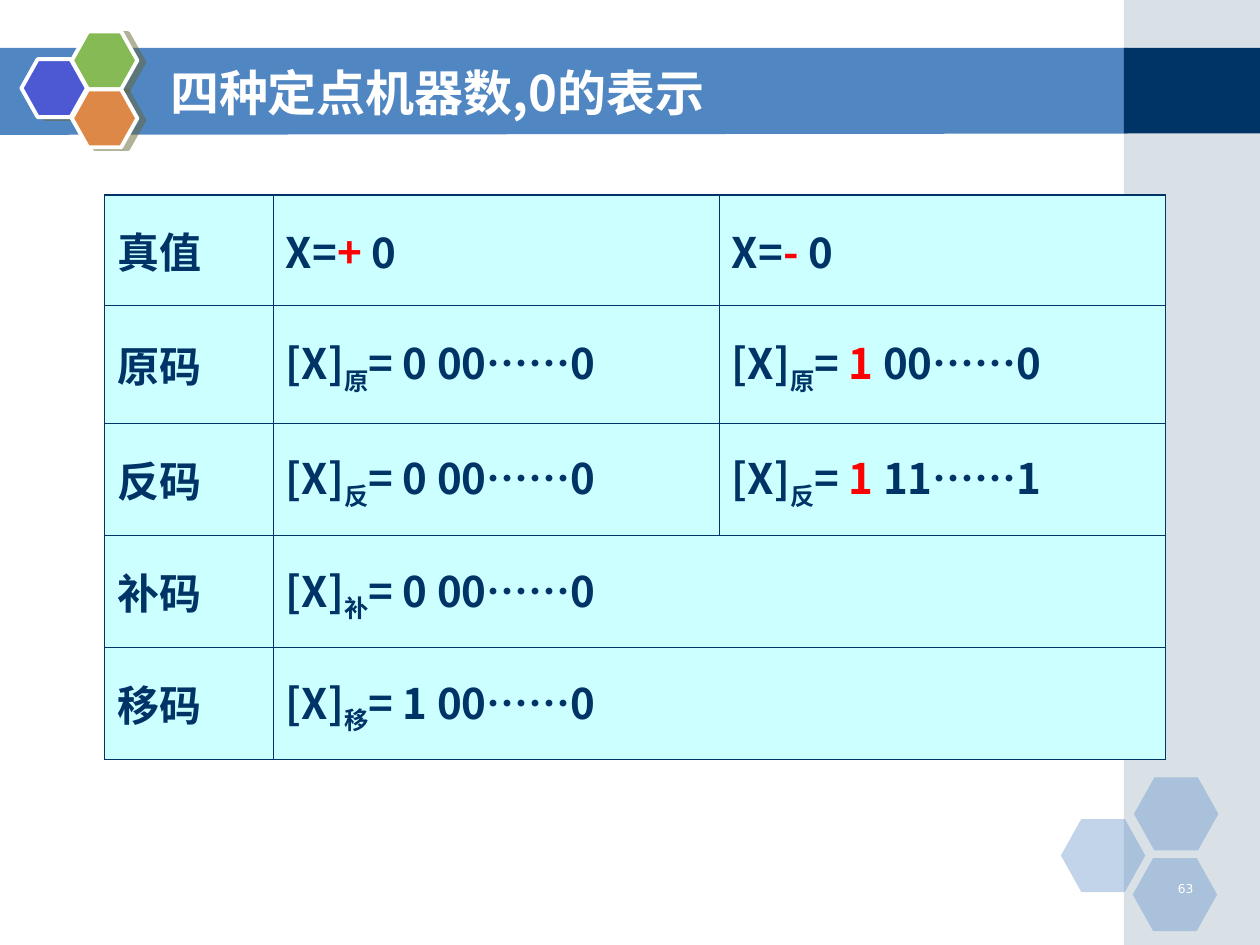
from dataclasses import dataclass

from lxml import etree
from pptx import Presentation
from pptx import util as u
from pptx.dml.color import RGBColor
from pptx.enum import shapes, text
from pptx.oxml.ns import qn


@dataclass(frozen=True)
class Theme:
    font: str = "Noto Sans CJK SC"
    number_font: str = "DejaVu Sans"
    white: str = "FFFFFF"
    navy: str = "003366"
    blue: str = "5086C2"
    grey: str = "A0B5C4"
    indigo: str = "4C59D2"
    green: str = "85BA54"
    orange: str = "DE8848"
    olive: str = "666633"
    cyan: str = "CCFFFF"
    red: str = "FF0000"
    title_size: float = 28
    table_size: float = 24
    number_size: float = 7
    outer_line: float = 1.08
    inner_line: float = 0.45


def box(left, top, width, height):
    return [u.Inches(v) for v in (left, top, width, height)]


def add_color(parent, color, alpha=None):
    clr = etree.SubElement(parent, qn("a:srgbClr"), val=color)
    if alpha is not None:
        etree.SubElement(clr, qn("a:alpha"), val=str(alpha * 1000))


class SlideBuilder:
    def __init__(self, slide, theme):
        self.slide = slide
        self.theme = theme

    def style_run(self, r, size, color, bold=True, font=None):
        name = font or self.theme.font
        r.font.size = u.Pt(size)
        r.font.bold = bold
        r.font.name = name
        r.font.color.rgb = RGBColor.from_string(color)
        etree.SubElement(r.font._element, qn("a:ea"), typeface=name)

    def fill(self, sp, color, alpha=None):
        sp.shadow.inherit = False
        sp.fill.solid()
        sp.fill.fore_color.rgb = RGBColor.from_string(color)
        sp.line.fill.background()
        if alpha is not None:
            clr = sp._element.spPr.find(qn("a:solidFill"))[0]
            etree.SubElement(clr, qn("a:alpha"), val=str(alpha * 1000))

    def band(self, points, color):
        start, *rest = [(u.Inches(x), u.Inches(y)) for x, y in points]
        builder = self.slide.shapes.build_freeform(*start)
        builder.add_line_segments(rest, close=True)
        self.fill(builder.convert_to_shape(), color)

    def rect(self, bounds, color, alpha=None):
        sp = self.slide.shapes.add_shape(shapes.MSO_SHAPE.RECTANGLE, *box(*bounds))
        self.fill(sp, color, alpha)

    def hexagon(self, bounds, color, alpha=None):
        sp = self.slide.shapes.add_shape(shapes.MSO_SHAPE.HEXAGON, *box(*bounds))
        sp.adjustments[0] = 0.28
        self.fill(sp, color, alpha)
        return sp

    def badge(self, bounds, color):
        sp = self.hexagon(bounds, color)
        sp.line.color.rgb = RGBColor.from_string(self.theme.white)
        sp.line.width = u.Pt(2.25)
        effects = sp._element.spPr.find(qn("a:effectLst"))
        shadow = etree.SubElement(
            effects, qn("a:outerShdw"), blurRad="0", dist=str(u.Pt(4.1)),
            dir=str(14 * 60000), algn="ctr", rotWithShape="0")
        add_color(shadow, self.theme.olive, 50)

    def title(self, bounds, content):
        sp = self.slide.shapes.title
        sp.left, sp.top, sp.width, sp.height = box(*bounds)
        self.slide.shapes.element.append(sp._element)
        tf = sp.text_frame
        tf.text = content
        tf.vertical_anchor = text.MSO_ANCHOR.MIDDLE
        p = tf.paragraphs[0]
        p.alignment = text.PP_ALIGN.LEFT
        self.style_run(p.runs[0], self.theme.title_size, self.theme.white)

    def page_number(self, bounds, content):
        tf = self.slide.shapes.add_textbox(*box(*bounds)).text_frame
        tf.word_wrap = True
        tf.text = content
        p = tf.paragraphs[0]
        p.alignment = text.PP_ALIGN.RIGHT
        p.line_spacing = 0.8
        self.style_run(p.runs[0], self.theme.number_size, self.theme.white,
                       bold=False, font=self.theme.number_font)

    def cell_borders(self, cell, outer):
        tc_pr = cell._tc.get_or_add_tcPr()
        for side in "LRTB":
            width = self.theme.outer_line if side in outer else self.theme.inner_line
            ln = etree.SubElement(tc_pr, qn(f"a:ln{side}"), w=str(u.Pt(width)))
            add_color(etree.SubElement(ln, qn("a:solidFill")), self.theme.navy)

    def cell_text(self, cell, parts):
        p = cell.text_frame.paragraphs[0]
        for content, kind in parts:
            r = p.add_run()
            r.text = content
            color = self.theme.red if kind == "red" else self.theme.navy
            self.style_run(r, self.theme.table_size, color)
            if kind == "sub":
                r.font._element.set("baseline", "-25000")

    def table(self, bounds, widths, heights, rows):
        frame = self.slide.shapes.add_table(len(rows), len(widths), *box(*bounds))
        table = frame.table
        for column, width in zip(table.columns, widths):
            column.width = u.Inches(width)
        for row, height in zip(table.rows, heights):
            row.height = u.Inches(height)
        last_row, last_col = len(rows) - 1, len(widths) - 1
        for i, row in enumerate(rows):
            for j in range(len(widths)):
                cell = table.cell(i, j)
                edges = {"L": j == 0, "R": j == last_col or j == len(row) - 1,
                         "T": i == 0, "B": i == last_row}
                self.cell_borders(cell, [s for s, on in edges.items() if on])
                cell.fill.solid()
                cell.fill.fore_color.rgb = RGBColor.from_string(self.theme.cyan)
                cell.vertical_anchor = text.MSO_ANCHOR.MIDDLE
                if j < len(row):
                    self.cell_text(cell, row[j])
            if len(row) <= last_col:
                table.cell(i, len(row) - 1).merge(table.cell(i, last_col))


def label(content):
    return [(content, "")]


def true_value(sign):
    return [("X=", ""), (sign, "red"), (" 0", "")]


def code(name, digits, red_sign=""):
    parts = [("[X]", ""), (name, "sub"), ("= ", "")]
    if red_sign:
        parts.append((red_sign, "red"))
    return parts + [(digits, "")]


def main():
    theme = Theme()
    prs = Presentation()
    prs.slide_width, prs.slide_height = u.Inches(10), u.Inches(7.5)
    s = SlideBuilder(prs.slides.add_slide(prs.slide_layouts[5]), theme)

    s.band([(-0.01, 0.38), (8.95, 0.38), (8.95, 1.06), (-0.01, 1.07)], theme.blue)
    s.rect((8.92, 0, 1.08, 7.5), theme.grey, 40)
    s.rect((8.92, 0.38, 1.08, 0.68), theme.navy)
    for left, top in ((8.42, 6.5), (9, 6.17), (8.99, 6.81)):
        s.hexagon((left, top, 0.67, 0.58), theme.blue, 35)
    for left, top, color in ((0.17, 0.47, theme.indigo), (0.57, 0.25, theme.green),
                             (0.57, 0.71, theme.orange)):
        s.badge((left, top, 0.52, 0.46), color)

    s.page_number((9.07, 6.97, 0.5, 0.25), "63")
    s.title((1.25, 0.42, 7.33, 0.62), "四种定点机器数,0的表示")
    s.table((0.83, 1.55, 8.42, 4.48), (1.34, 3.54, 3.54), (0.87, 0.94, 0.89, 0.89, 0.89), [
        [label("真值"), true_value("+"), true_value("-")],
        [label("原码"), code("原", "0 00……0"), code("原", "00……0", "1 ")],
        [label("反码"), code("反", "0 00……0"), code("反", "11……1", "1 ")],
        [label("补码"), code("补", "0 00……0")],
        [label("移码"), code("移", "1 00……0")],
    ])
    prs.save("out.pptx")


if __name__ == "__main__":
    main()
